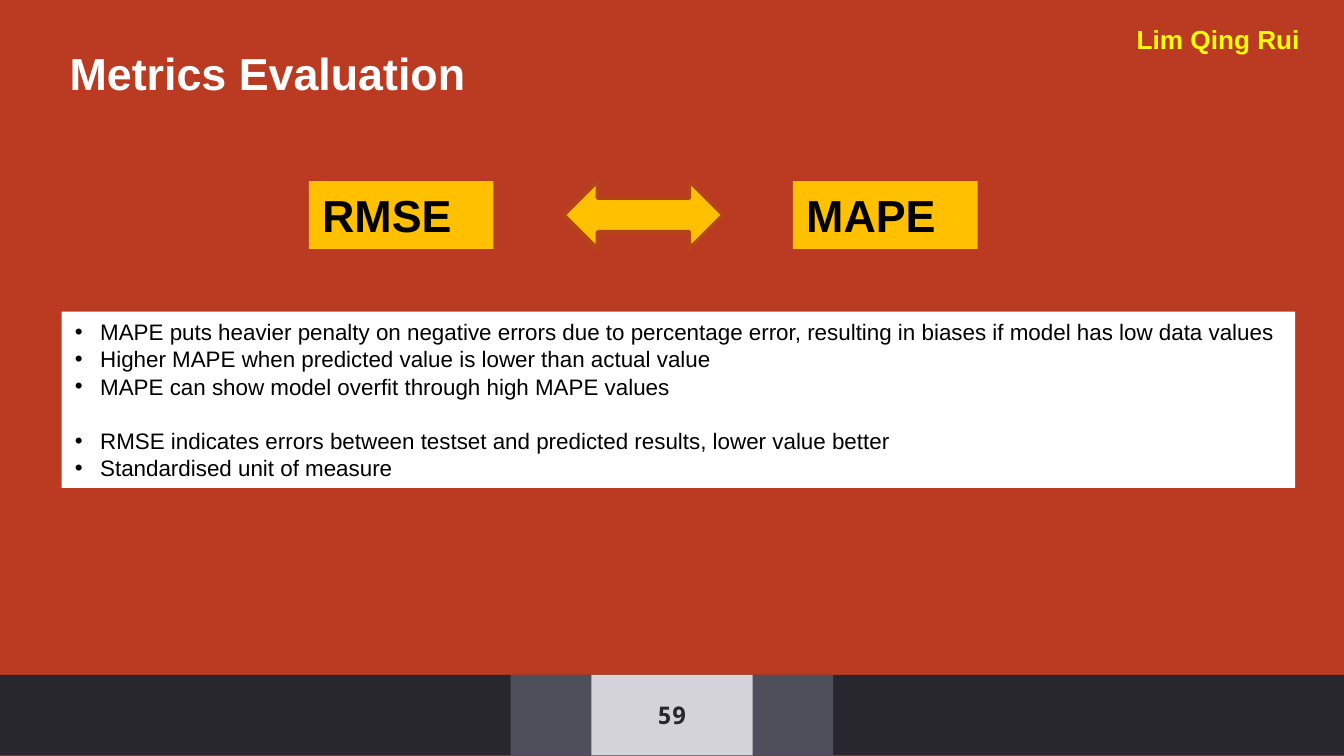
import pptx
import pptx.util
import pptx.dml.color
import pptx.enum.shapes
import pptx.enum.text
import pptx.oxml
import pptx.oxml.ns

Pt = pptx.util.Pt
RGB = pptx.dml.color.RGBColor
SHAPE = pptx.enum.shapes.MSO_SHAPE
ALIGN = pptx.enum.text.PP_ALIGN
ANCHOR = pptx.enum.text.MSO_ANCHOR

RUST = RGB(0xBA, 0x3B, 0x21)
DARK = RGB(0x27, 0x27, 0x2D)
SLATE = RGB(0x4F, 0x4F, 0x5C)
PALE = RGB(0xD4, 0xD3, 0xD9)
AMBER = RGB(0xFF, 0xC0, 0x00)
ARROW_EDGE = RGB(0xB5, 0x44, 0x18)
YELLOW = RGB(0xFF, 0xFF, 0x00)
WHITE = RGB(0xFF, 0xFF, 0xFF)
BLACK = RGB(0, 0, 0)


def add_text(p, text, size=12, color=BLACK, bold=False, font="Arial", align=ALIGN.LEFT):
    p.alignment = align
    r = p.add_run()
    r.text = text
    r.font.name, r.font.size, r.font.bold = font, Pt(size), bold
    r.font.color.rgb = color


class Deck:
    indent = 13.5
    line_height = 14.5

    def __init__(self, width, height):
        self.prs = pptx.Presentation()
        self.prs.slide_width, self.prs.slide_height = Pt(width), Pt(height)
        self.s = self.prs.slides.add_slide(self.prs.slide_layouts[6])

    def background(self, color):
        fill = self.s.background.fill
        fill.solid()
        fill.fore_color.rgb = color

    def shape(self, x, y, w, h, fill, kind=SHAPE.RECTANGLE, line=None):
        sp = self.s.shapes.add_shape(kind, Pt(x), Pt(y), Pt(w), Pt(h))
        sp.shadow.inherit = False
        sp.fill.solid()
        sp.fill.fore_color.rgb = fill
        if line is None:
            sp.line.fill.background()
        else:
            sp.line.color.rgb = line
            sp.line.width = Pt(2)
        sp.text_frame.word_wrap = True
        sp.text_frame.vertical_anchor = ANCHOR.TOP
        return sp

    def label(self, x, y, w, h, text, fill=None, anchor=ANCHOR.TOP, **style):
        if fill is None:
            sp = self.s.shapes.add_textbox(Pt(x), Pt(y), Pt(w), Pt(h))
        else:
            sp = self.shape(x, y, w, h, fill)
        tf = sp.text_frame
        tf.word_wrap = True
        tf.vertical_anchor = anchor
        add_text(tf.paragraphs[0], text, **style)

    def bullets(self, x, y, w, h, groups, fill):
        tf = self.shape(x, y, w, h, fill).text_frame
        p = None
        for g, group in enumerate(groups):
            for i, text in enumerate(group):
                p = tf.paragraphs[0] if p is None else tf.add_paragraph()
                add_text(p, text)
                p.line_spacing = Pt(self.line_height)
                if g and i == 0:
                    p.space_before = Pt(self.line_height)
                pPr = p._p.get_or_add_pPr()
                pPr.set("marL", str(Pt(self.indent)))
                pPr.set("indent", str(-Pt(self.indent)))
                ns = pptx.oxml.ns.nsdecls("a")
                for xml in ('<a:buFont %s typeface="Arial"/>', '<a:buChar %s char="•"/>'):
                    pPr.append(pptx.oxml.parse_xml(xml % ns))


W, H = 720, 405
deck = Deck(W, H)
deck.background(RUST)

# Footer: centred bands and page number
footer_h = 43.2
footer_y = 361.6
for band_w, color in ((W, DARK), (172.8, SLATE), (86.4, PALE)):
    deck.shape((W - band_w) / 2, footer_y, band_w, footer_h, color)
deck.label((W - band_w) / 2, footer_y, band_w, footer_h, "59", anchor=ANCHOR.MIDDLE,
           size=13, color=DARK, bold=True, font="Noto Sans Mono", align=ALIGN.CENTER)

# Author and title
deck.label(601.9, 8.8, 119.5, 24.2, "Lim Qing Rui", size=14, color=YELLOW, bold=True)
deck.label(30.2, 21.1, 515.5, 36.3, "Metrics Evaluation", size=24, color=WHITE, bold=True)

# Notes on both metrics
deck.bullets(33.1, 167, 660.8, 94.4, [
    ["MAPE puts heavier penalty on negative errors due to percentage error, "
     "resulting in biases if model has low data values",
     "Higher MAPE when predicted value is lower than actual value",
     "MAPE can show model overfit through high MAPE values"],
    ["RMSE indicates errors between testset and predicted results, lower value better",
     "Standardised unit of measure"],
], WHITE)

# Compared metrics
metric_y, metric_h = 97, 36.3
for x, name in ((165.5, "RMSE"), (424.8, "MAPE")):
    deck.label(x, metric_y, 98.9, metric_h, name, fill=AMBER, size=24, bold=True)
deck.shape(302, metric_y, 85.4, metric_h, AMBER, SHAPE.LEFT_RIGHT_ARROW, ARROW_EDGE)

deck.prs.save("out.pptx")
